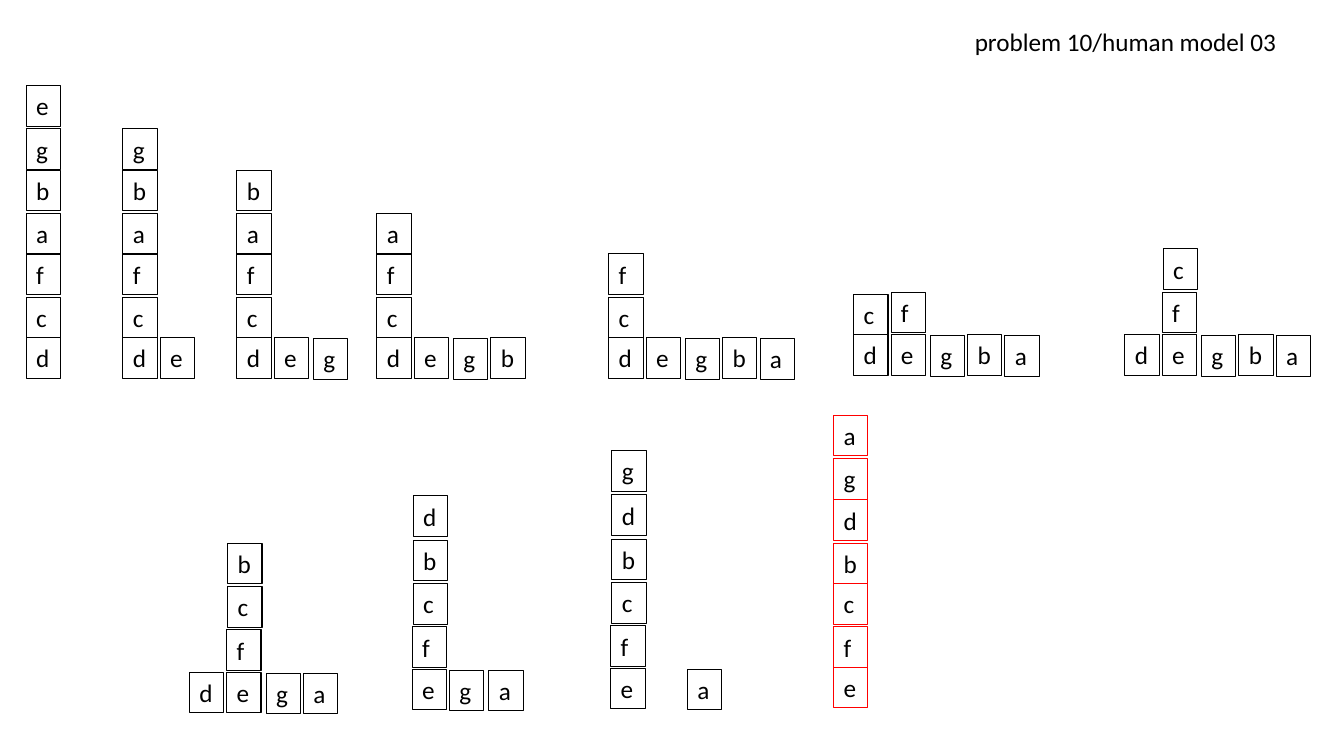
from pptx import Presentation
from pptx import util as u
from pptx.dml import color
from pptx.enum import text

# The slide is a grid of squares, each a tenth of an inch.
GRID = u.Inches(0.1)
SLIDE_COLS, SLIDE_ROWS = 133.33, 75
BLOCK_COLS, BLOCK_ROWS = 3.4, 4.03

# Column of each tower and height of each level, from a state's bottom-left block.
TOWER_COLS = (0, 3.7, 7.6, 11.3, 15)
UNTOUCHED_LEVELS = (0, 4, 8.3, 12.3, 16.6, 20.7, 25)
REBUILT_LEVELS = (0, 4.2, 8.5, 12.8, 17.2, 21.6)
LOW_BLOCKS = "ga"
SET_DOWN, LEAN = 0.1, 0.1

BLACK, RED = "000000", "FF0000"

# Left column, top row of the base, towers read upwards, line colour.
STATES = [
    (2.6, 33.5, ["dcfabge"], BLACK),
    (12.2, 33.5, ["dcfabg", "e"], BLACK),
    (23.5, 33.5, ["dcfab", "e", "g"], BLACK),
    (37.4, 33.5, ["dcfa", "e", "g", "b"], BLACK),
    (60.4, 33.5, ["dcf", "e", "g", "b", "a"], BLACK),
    (84.7, 33.2, ["dc", "ef", "g", "b", "a"], BLACK),
    (111.6, 33.2, ["d", "efc", "g", "b", "a"], BLACK),
    (18.8, 66.7, ["d", "efcb", "g", "a"], BLACK),
    (40.9, 66.4, ["efcbd", "g", "a"], BLACK),
    (60.6, 66.3, ["efcbdg", "", "a"], BLACK),
    (82.7, 66.2, ["efcbdga"], RED),
]


def rgb(hex_code):
    """Turn a hex string into a colour."""
    return color.RGBColor.from_string(hex_code)


def cells(*counts):
    """Turn counts of grid squares into lengths."""
    return [int(count * GRID) for count in counts]


def write(frame, words):
    """Write one left-aligned run in the slide's only text style."""
    frame.vertical_anchor = text.MSO_ANCHOR.TOP
    frame.auto_size = text.MSO_AUTO_SIZE.SHAPE_TO_FIT_TEXT
    line = frame.paragraphs[0]
    line.alignment = text.PP_ALIGN.LEFT
    run = line.add_run()
    run.text = words
    run.font.size = u.Pt(18)
    run.font.name = "Calibri"
    run.font.color.rgb = rgb(BLACK)


def add_heading(slide, box, words):
    """Place the slide title in the given box."""
    heading = slide.shapes.title
    heading.left, heading.top, heading.width, heading.height = cells(*box)
    heading.text_frame.word_wrap = False
    write(heading.text_frame, words)


def add_block(slide, left, top, letter, outline):
    """Draw one lettered block."""
    block = slide.shapes.add_textbox(*cells(left, top, BLOCK_COLS, BLOCK_ROWS))
    block.line.color.rgb = rgb(outline)
    block.line.width = u.Pt(0.75)
    block.text_frame.word_wrap = True
    write(block.text_frame, letter)


def add_state(slide, left, base, towers, outline):
    """Draw one state of the puzzle from its bottom-left block."""
    for tower, shift in zip(towers, TOWER_COLS):
        untouched = tower.startswith("dc") or outline == RED
        levels = UNTOUCHED_LEVELS if untouched else REBUILT_LEVELS
        drop = SET_DOWN if tower and tower[0] in LOW_BLOCKS else 0
        for level, letter in enumerate(tower):
            lean = LEAN if level > 1 and not untouched else 0
            add_block(slide, left + shift + lean, base + drop - levels[level],
                      letter, outline)


def build():
    """Build the slide with its heading and all states."""
    deck = Presentation()
    deck.slide_width, deck.slide_height = cells(SLIDE_COLS, SLIDE_ROWS)
    slide = deck.slides.add_slide(deck.slide_layouts.get_by_name("Title Only"))
    add_heading(slide, (95.7, 2.1, 32.3, 4.03), "problem 10/human model 03")
    for state in STATES:
        add_state(slide, *state)
    return deck


build().save("out.pptx")
